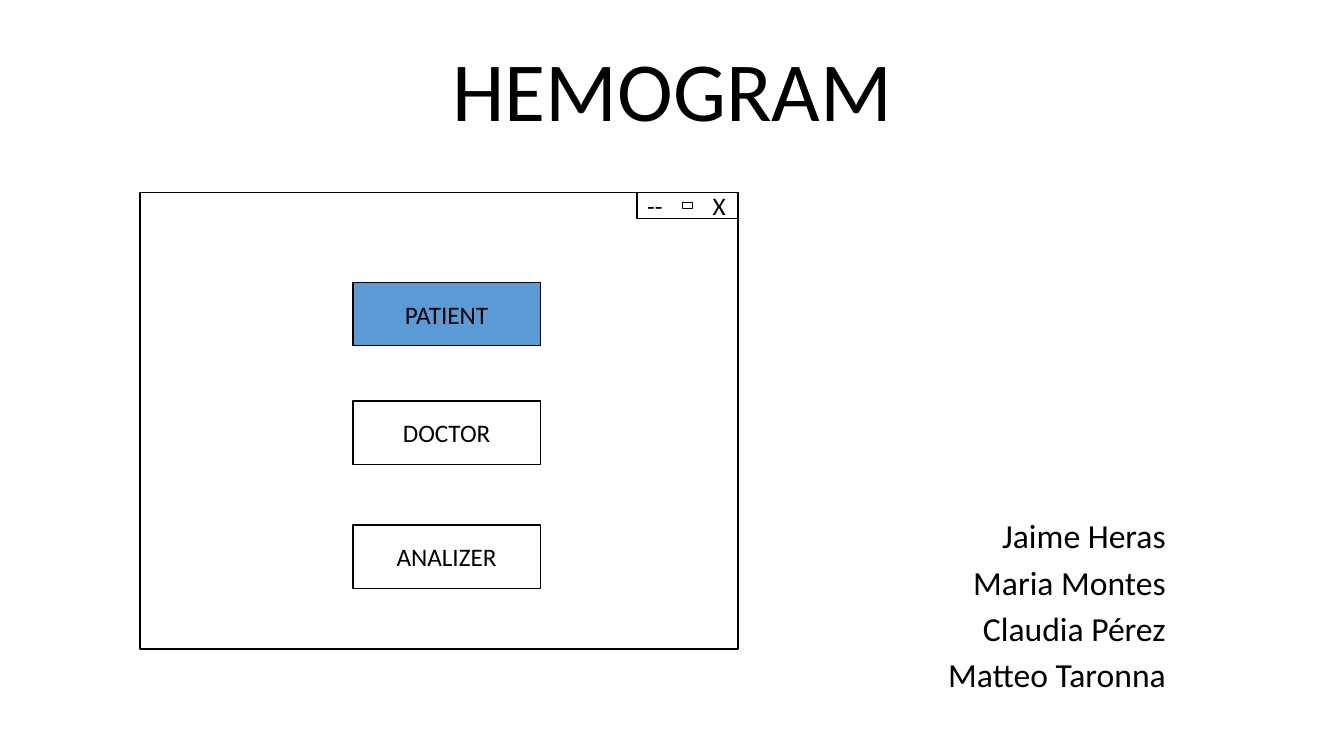
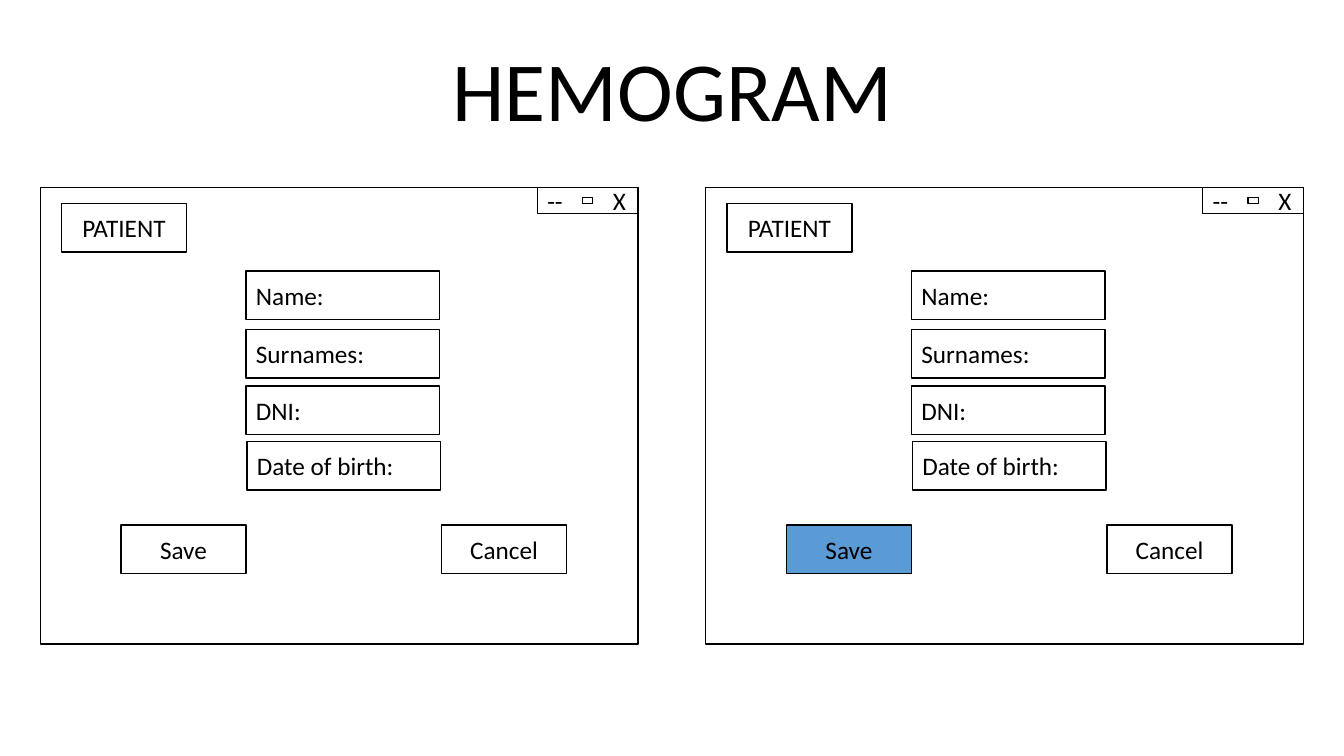
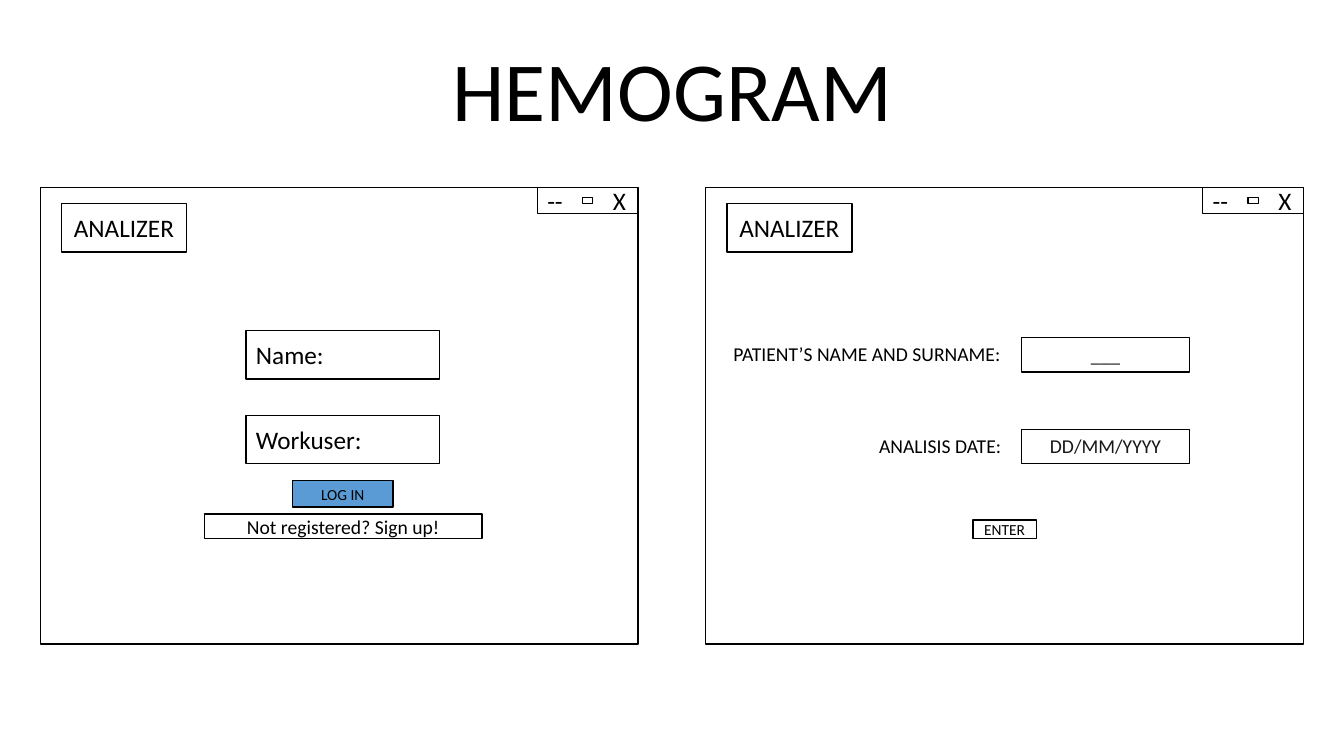
from lxml import etree
from pptx import Presentation
from pptx.dml.color import RGBColor
from pptx.enum.shapes import MSO_SHAPE
from pptx.enum.text import MSO_ANCHOR, PP_ALIGN
from pptx.oxml.ns import qn
from pptx.util import Pt

RECT = MSO_SHAPE.RECTANGLE
LEFT, MID, RIGHT = PP_ALIGN.LEFT, PP_ALIGN.CENTER, PP_ALIGN.RIGHT
TOP, CENTER, BOTTOM = MSO_ANCHOR.TOP, MSO_ANCHOR.MIDDLE, MSO_ANCHOR.BOTTOM

SCALE = 9144  # EMU in one px, 100 px to the inch
COLORS = {"ink": "000000", "paper": "FFFFFF", "active": "5B9BD5", "hint": "181717"}
FONT = {"name": "Calibri"}
TITLE = {"line_spacing": 0.9}
NAMES = {"line_spacing": 0.8, "space_before": Pt(10)}

# Window origins and the sizes of its parts
HOME, LEFT_WIN, RIGHT_WIN = (139, 191), (40, 186), (700, 186)
WIN_W, WIN_H = 593, 453
BAR_W, BAR_H = 100, 26
MENU, SMALL, FIELD, ENTRY = (186, 63), (124, 48), (192, 48), (167, 34)


def px(*sizes):
    return [size * SCALE for size in sizes]


def color(key):
    return RGBColor.from_string(COLORS[key])


def apply(target, values):
    for key, value in values.items():
        setattr(target, key, value)


def write(shape, lines, size, align=MID, anchor=CENTER, ink="ink", fmt=None):
    frame = shape.text_frame
    apply(frame, {"word_wrap": True, "vertical_anchor": anchor})
    for i, line in enumerate(lines):
        para = frame.add_paragraph() if i else frame.paragraphs[0]
        apply(para, {"alignment": align, **(fmt or {})})
        if not i:
            para.space_before = Pt(0)
        run = para.add_run()
        run.text = line
        apply(run.font, {**FONT, "size": Pt(size)})
        run.font.color.rgb = color(ink)


def text(slide, at, lines, size, **style):
    write(slide.shapes.add_textbox(*px(*at)), lines, size, **style)


def box(slide, at, label=None, size=18, fill="paper", edge="ink", **style):
    shape = slide.shapes.add_shape(RECT, *px(*at))
    shape.shadow.inherit = False
    shape.fill.solid()
    shape.fill.fore_color.rgb = color(fill)
    shape.line.color.rgb = color(edge)
    shape.line.width = Pt(1)
    if label:
        write(shape, [label], size, **style)
    return shape


def window(slide, origin, tag=None):
    """Draw a window and return a function that places boxes inside it."""
    left, top = origin

    def place(x, y, size, *args, **style):
        return box(slide, (left + x, top + y, *size), *args, **style)

    place(0, 0, (WIN_W, WIN_H))
    bar_x = WIN_W - BAR_W
    bar = place(bar_x, 0, (BAR_W, BAR_H), "--\tX", align=LEFT)
    props = bar.text_frame.paragraphs[0]._p.get_or_add_pPr()
    tabs = etree.SubElement(props, qn("a:tabLst"))
    etree.SubElement(tabs, qn("a:tab"), pos=str(65 * SCALE), algn="l")
    place(bar_x + 45, 10, (10, 6))
    if tag:
        place(21, 16, SMALL, tag)
    return place


def page(deck):
    slide = deck.slides.add_slide(deck.slide_layouts[6])
    text(slide, (167, 24, 1000, 119), ["HEMOGRAM"], 60, anchor=BOTTOM, fmt=TITLE)
    return slide


def home(deck):
    slide = page(deck)
    names = ["Jaime Heras", "Maria Montes", "Claudia Pérez", "Matteo Taronna"]
    text(slide, (827, 514, 339, 181), names, 24, align=RIGHT, anchor=TOP, fmt=NAMES)
    place = window(slide, HOME)
    for label, y, fill in (("PATIENT", 89, "active"), ("DOCTOR", 207, "paper"),
                           ("ANALIZER", 330, "paper")):
        place(211, y, MENU, label, fill=fill)


def patient(deck):
    slide = page(deck)
    fields = (("Name:", 204, 83), ("Surnames:", 204, 141), ("DNI:", 204, 197),
              ("Date of birth:", 205, 252))
    for origin, fill in ((LEFT_WIN, "paper"), (RIGHT_WIN, "active")):
        place = window(slide, origin, "PATIENT")
        for label, x, y in fields:
            place(x, y, FIELD, label, align=LEFT)
        place(80, 335, SMALL, "Save", fill=fill)
        place(398, 335, SMALL, "Cancel")


def lab(deck):
    slide = page(deck)
    # Sign-in window
    place = window(slide, LEFT_WIN, "ANALIZER")
    for label, y in (("Name:", 142), ("Workuser:", 226)):
        place(204, y, FIELD, label, align=LEFT)
    place(250, 291, (100, 26), "LOG IN", 11, fill="active")
    place(163, 324, (275, 24), "Not registered? Sign up!", 14)

    # Analysis window
    place = window(slide, RIGHT_WIN, "ANALIZER")
    rows = (("PATIENT’S NAME AND SURNAME:", 5, 141, 310, "___", 149),
            ("ANALISIS DATE:", 160, 232, 145, "DD/MM/YYYY", 240))
    for label, x, y, width, hint, hint_y in rows:
        place(x, y, (width, 48), label, 14, edge="paper")
        place(313, hint_y, ENTRY, hint, 14, anchor=TOP, ink="hint")
    place(265, 330, (63, 18), "ENTER", 11)


def main():
    deck = Presentation()
    deck.slide_width, deck.slide_height = px(1333, 750)
    for build in (home, patient, lab):
        build(deck)
    deck.save("out.pptx")


if __name__ == "__main__":
    main()
